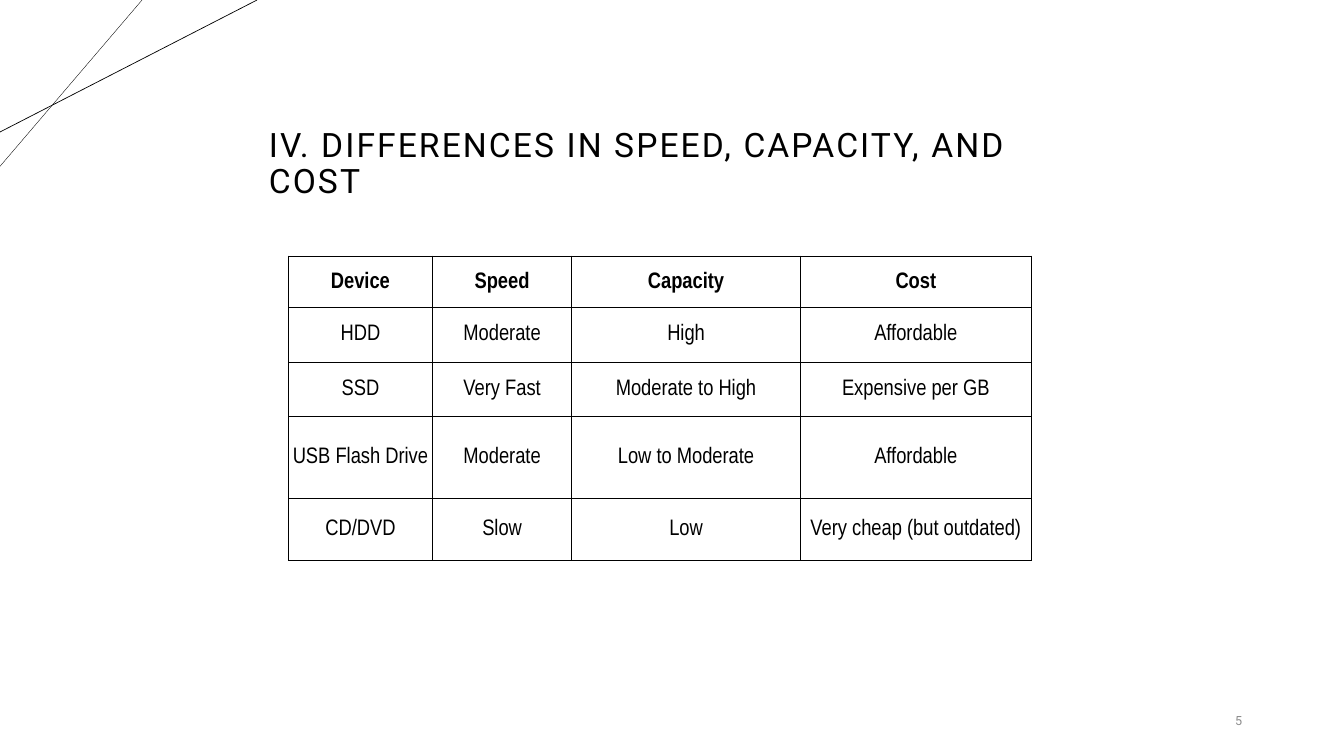
from lxml.etree import SubElement as Sub
from pptx import Presentation
from pptx.dml.color import RGBColor
from pptx.enum.shapes import MSO_CONNECTOR as Link
from pptx.enum.text import MSO_ANCHOR as Anchor, PP_ALIGN as Align
from pptx.oxml.ns import qn
from pptx.util import Pt

PLAIN = "{2D5ABB26-0587-4C30-8999-92F81FD0307C}"  # table style: no grid


def color(code):
    return RGBColor.from_string(code)


def write(frame, text, font="Roboto", size=16, ink="000000", bold=False,
          align=Align.LEFT, lead=None, after=None, track=None):
    frame.word_wrap = True
    frame.vertical_anchor = Anchor.MIDDLE
    para = frame.paragraphs[0]
    para.alignment = align
    if lead is not None:
        para.line_spacing = lead
    if after is not None:
        para.space_after = Pt(after)
    run = para.add_run()
    run.text = text
    run.font.name, run.font.size, run.font.bold = font, Pt(size), bold
    run.font.color.rgb = color(ink)
    if track is not None:
        run.font._element.set("spc", str(int(track * 100)))


class Page:
    ink = "000000"
    rule = 0.5
    inset = 0.72

    def __init__(self, slide):
        self.slide = slide
        self.shapes = slide.shapes

    def line(self, x1, y1, x2, y2, width):
        link = self.shapes.add_connector(
            Link.STRAIGHT, Pt(x1), Pt(y1), Pt(x2), Pt(y2))
        link.line.color.rgb = color(self.ink)
        link.line.width = Pt(width)
        Sub(link._element.spPr, qn("a:effectLst"))

    def text(self, x, y, wide, high, words, **style):
        box = self.shapes.add_textbox(Pt(x), Pt(y), Pt(wide), Pt(high))
        write(box.text_frame, words, **style)

    def frame(self, cell):
        props = cell._tc.get_or_add_tcPr()
        for side in "LRTB":
            edge = Sub(props, qn("a:ln" + side), w=str(Pt(self.rule)))
            fill = Sub(edge, qn("a:solidFill"))
            Sub(fill, qn("a:srgbClr"), val=self.ink)

    def table(self, x, y, cols, rows, data):
        """Place data one cell in from the top left of an open grid."""
        shape = self.shapes.add_table(len(rows), len(cols), Pt(x), Pt(y),
                                      Pt(sum(cols)), Pt(sum(rows)))
        grid = shape.table
        grid.first_row = grid.horz_banding = False
        next(shape._element.iter(qn("a:tableStyleId"))).text = PLAIN
        for col, wide in zip(grid.columns, cols):
            col.width = Pt(wide)
        for row, high in zip(grid.rows, rows):
            row.height = Pt(high)
        for r, line in enumerate(data, 1):
            for c, words in enumerate(line, 1):
                cell = grid.cell(r, c)
                self.frame(cell)
                cell.margin_left = cell.margin_right = Pt(self.inset)
                cell.margin_top, cell.margin_bottom = Pt(self.inset), 0
                cell.vertical_anchor = Anchor.MIDDLE
                write(cell.text_frame, words, font="Arial Narrow",
                      bold=r == 1, align=Align.CENTER)
        for cell in grid.iter_cells():
            cell.fill.background()


def main():
    deck = Presentation()
    deck.slide_width, deck.slide_height = Pt(960), Pt(540)
    page = Page(deck.slides.add_slide(deck.slide_layouts[6]))

    # Corner lines
    page.line(101.5, 0, 0, 118.8, 0.25)
    page.line(183.6, 0, 0, 94.3, 0.5)

    # Title
    page.text(185, 41.8, 590.4, 151.2,
              "IV. DIFFERENCES IN SPEED, CAPACITY, AND COST",
              size=24, lead=0.9, track=1.5)

    # Page number
    page.text(816.5, 500.4, 77.8, 28.8, "5", size=9, ink="8C8C8C",
              align=Align.RIGHT, after=6)

    # Comparison table
    page.table(
        99.4, 146.2,
        [106.6, 103, 99.4, 163.4, 164.9, 106.6],
        [36.7, 36.7, 39, 39, 58.3, 44.6] + [36.7] * 4,
        [["Device", "Speed", "Capacity", "Cost"],
         ["HDD", "Moderate", "High", "Affordable"],
         ["SSD", "Very Fast", "Moderate to High", "Expensive per GB"],
         ["USB Flash Drive", "Moderate", "Low to Moderate", "Affordable"],
         ["CD/DVD", "Slow", "Low", "Very cheap (but outdated)"]])

    deck.save("out.pptx")


if __name__ == "__main__":
    main()
